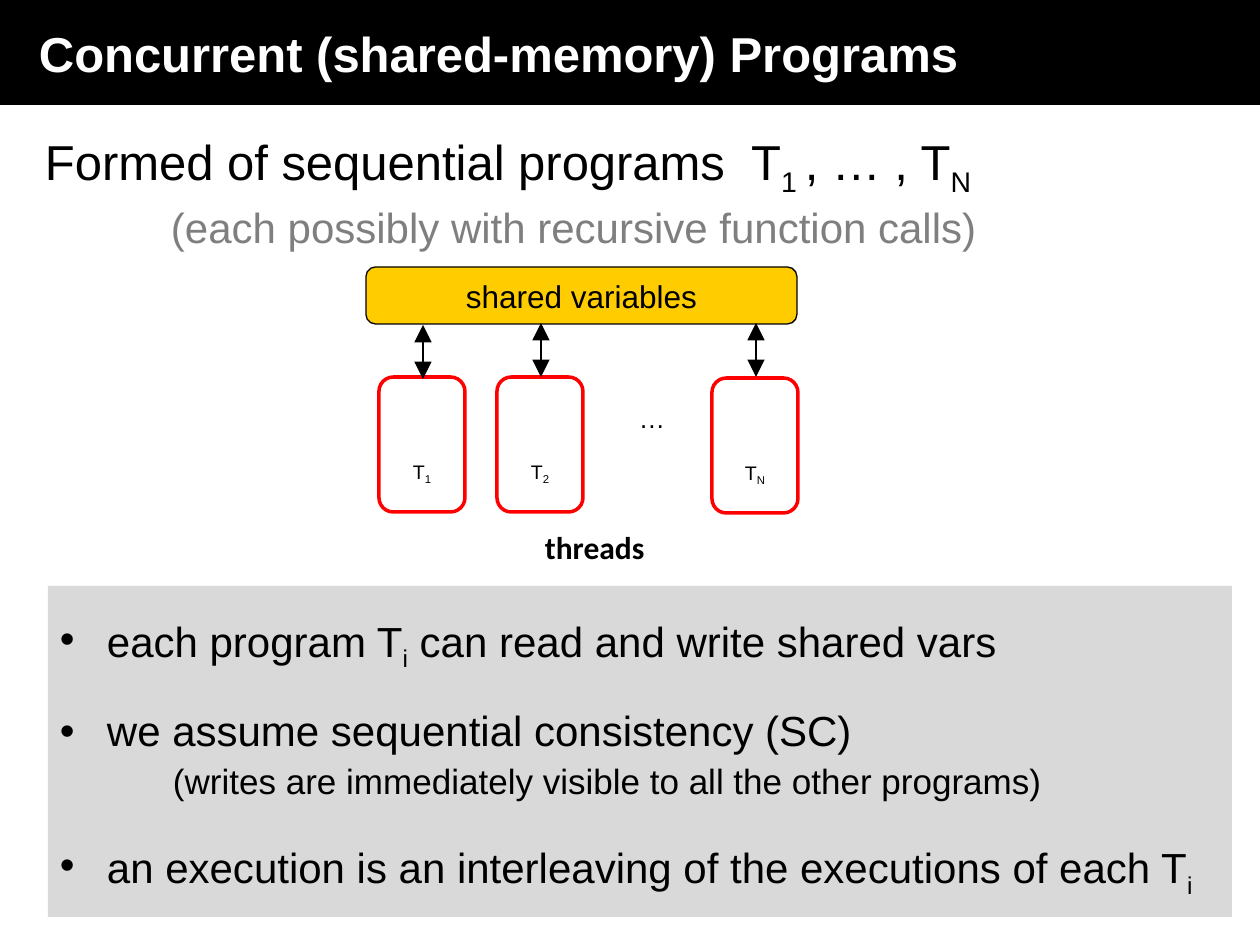
from dataclasses import dataclass

from lxml import etree
from pptx import Presentation
from pptx import util as u
from pptx.dml.color import RGBColor
from pptx.enum import shapes, text
from pptx.oxml.ns import qn

BLACK = RGBColor(0x00, 0x00, 0x00)
WHITE = RGBColor(0xFF, 0xFF, 0xFF)
GRAY = RGBColor(0x7F, 0x7F, 0x7F)
PANEL = RGBColor(0xD9, 0xD9, 0xD9)
YELLOW = RGBColor(0xFF, 0xCC, 0x00)
RED = RGBColor(0xFF, 0x00, 0x00)

EMU_PER_PX = 914400 / 126
CENTER = text.PP_ALIGN.CENTER
RECT = shapes.MSO_SHAPE.RECTANGLE
ROUND = shapes.MSO_SHAPE.ROUNDED_RECTANGLE


@dataclass(frozen=True)
class Thread:
    label: str
    x: int
    y: int
    arrow_x: int
    arrow_y: int


@dataclass(frozen=True)
class Point:
    words: str
    size: int = 24
    before: float = 22.8
    left: int = 47
    bullet: bool = True


THREADS = [
    Thread("T_1", 379, 377, 423, 325),
    Thread("T_2", 497, 377, 541, 323),
    Thread("T_N", 712, 378, 756, 323),
]
POINTS = [
    Point("each program T_i_ can read and write shared vars", before=0),
    Point("we assume sequential consistency (SC)", before=24.6),
    Point("(writes are immediately visible to all the other programs)",
          size=20, before=5, left=113, bullet=False),
    Point("an execution is an interleaving of the executions of each T_i"),
]


def px(n: int) -> u.Emu:
    return u.Emu(round(n * EMU_PER_PX))


def add_text(tf, words: str, *, size: float, color=BLACK, font="Arial", bold=False,
             align=None, spacing=1.0, before=0.0, left=0, bullet=False) -> None:
    """Text between underscores is set as subscript."""
    p = tf.paragraphs[0] if not tf.paragraphs[0].runs else tf.add_paragraph()
    pPr = p._p.get_or_add_pPr()
    pPr.set("marL", str(px(left)))
    pPr.set("indent", str(px(-left if bullet else 0)))
    if bullet:
        etree.SubElement(pPr, qn("a:buFont")).set("typeface", "Arial")
        etree.SubElement(pPr, qn("a:buChar")).set("char", "•")
    p.alignment = align
    p.line_spacing = spacing
    p.space_before = u.Pt(before)
    for i, part in enumerate(words.split("_")):
        if not part:
            continue
        r = p.add_run()
        r.text = part
        r.font.name = font
        r.font.size = u.Pt(size)
        r.font.bold = bold
        r.font.color.rgb = color
        if i % 2:
            r._r.get_or_add_rPr().set("baseline", "-25000")


def set_frame(tf, left: int = 12, top: int = 6, anchor=text.MSO_ANCHOR.TOP):
    tf.word_wrap = True
    tf.vertical_anchor = anchor
    tf.margin_left, tf.margin_right = px(left), px(12)
    tf.margin_top, tf.margin_bottom = px(top), px(6)
    return tf


def add_box(s, kind, x: int, y: int, w: int, h: int, fill, line=None, width=0.75):
    sp = s.shapes.add_shape(kind, px(x), px(y), px(w), px(h))
    sp.shadow.inherit = False
    sp.fill.solid()
    sp.fill.fore_color.rgb = fill
    if line is None:
        sp.line.fill.background()
    else:
        sp.line.color.rgb = line
        sp.line.width = u.Pt(width)
    return sp


def add_label(s, x: int, y: int, w: int, h: int, **frame):
    return set_frame(s.shapes.add_textbox(px(x), px(y), px(w), px(h)).text_frame, **frame)


def add_arrow(s, x: int, y: int, length: int) -> None:
    c = s.shapes.add_connector(shapes.MSO_CONNECTOR.STRAIGHT,
                               px(x), px(y + length), px(x), px(y))
    c.line.color.rgb = BLACK
    c.line.width = u.Pt(0.75)
    ln = c.line._get_or_add_ln()
    for end in ("a:headEnd", "a:tailEnd"):
        head = etree.SubElement(ln, qn(end))
        head.set("type", "triangle")
        head.set("w", "lg")
        head.set("len", "lg")
    etree.SubElement(c._element.spPr, qn("a:effectLst"))


def add_thread(s, t: Thread) -> None:
    add_box(s, ROUND, t.x, t.y, 86, 135, WHITE, RED, 2)
    add_text(add_label(s, t.x + 9, t.y + 80, 68, 39, top=5), t.label,
             size=11.2, align=CENTER, spacing=0.8)
    add_arrow(s, t.arrow_x, t.arrow_y, 54)


def main() -> None:
    prs = Presentation()
    prs.slide_width, prs.slide_height = u.Inches(10), u.Inches(7.5)
    s = prs.slides.add_slide(prs.slide_layouts[6])
    middle = text.MSO_ANCHOR.MIDDLE

    title = add_box(s, RECT, 0, 0, 1260, 105, BLACK)
    add_text(set_frame(title.text_frame, left=39, anchor=middle),
             "Concurrent (shared-memory) Programs", size=28, color=WHITE, bold=True,
             align=text.PP_ALIGN.LEFT)

    intro = add_label(s, 33, 126, 1227, 141)
    add_text(intro, "Formed of sequential programs  T_1 _, … , T_N", size=28, spacing=0.9)
    add_text(intro, "(each possibly with recursive function calls)", size=24,
             color=GRAY, spacing=0.9, before=8.5, left=126)

    shared = add_box(s, ROUND, 366, 267, 431, 57, YELLOW, BLACK)
    add_text(set_frame(shared.text_frame, anchor=middle), "shared variables",
             size=18, align=CENTER)

    for thread in THREADS:
        add_thread(s, thread)
    add_text(add_label(s, 592, 402, 120, 48), "…", size=15, align=CENTER, spacing=0.8)
    add_text(add_label(s, 533, 522, 150, 50), "threads", size=18, font="Calibri", bold=True)

    panel = add_box(s, RECT, 48, 586, 1184, 331, PANEL)
    tf = set_frame(panel.text_frame, top=30)
    for pt in POINTS:
        add_text(tf, pt.words, size=pt.size, align=text.PP_ALIGN.LEFT, spacing=0.9,
                 before=pt.before, left=pt.left, bullet=pt.bullet)

    prs.save("out.pptx")


if __name__ == "__main__":
    main()
